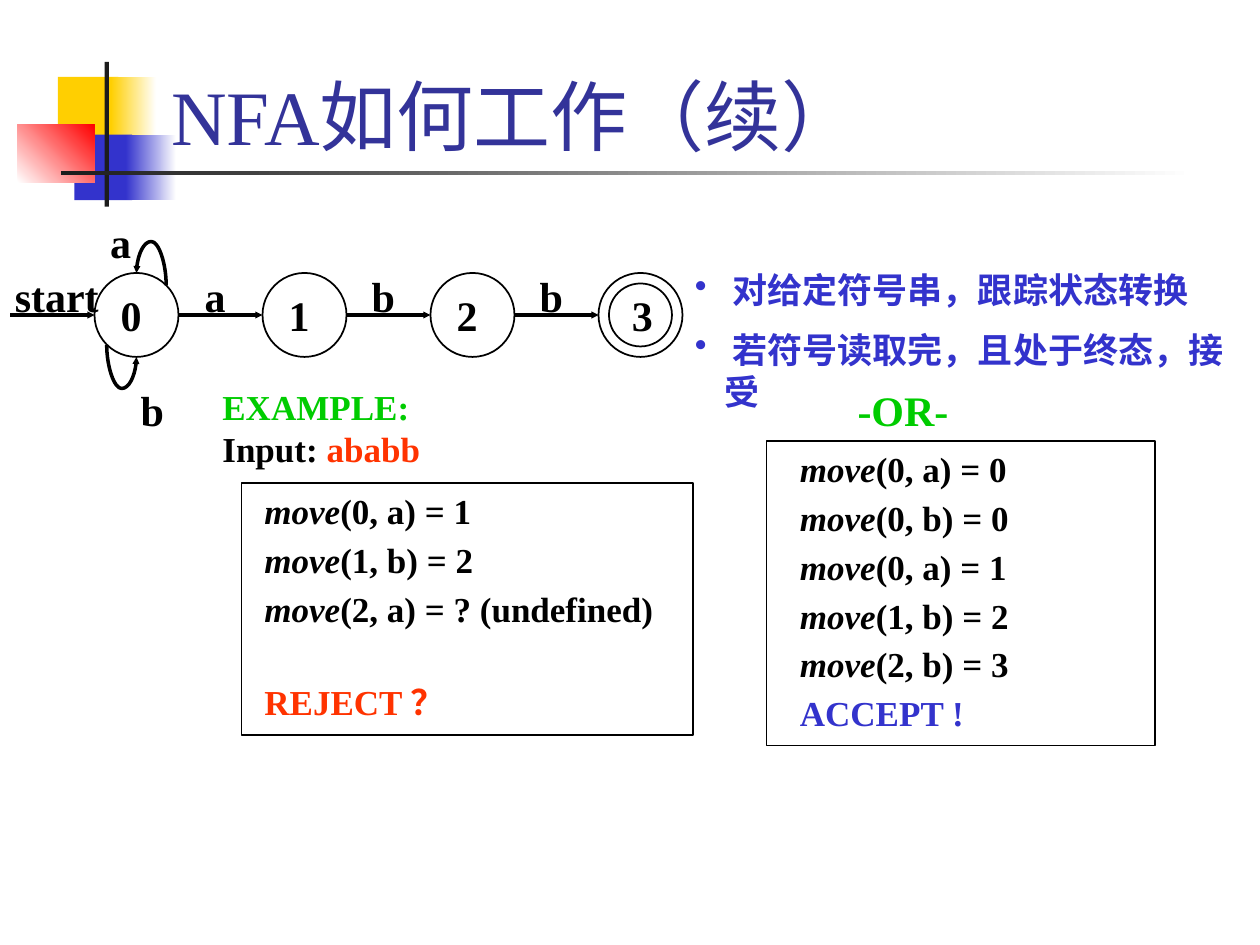
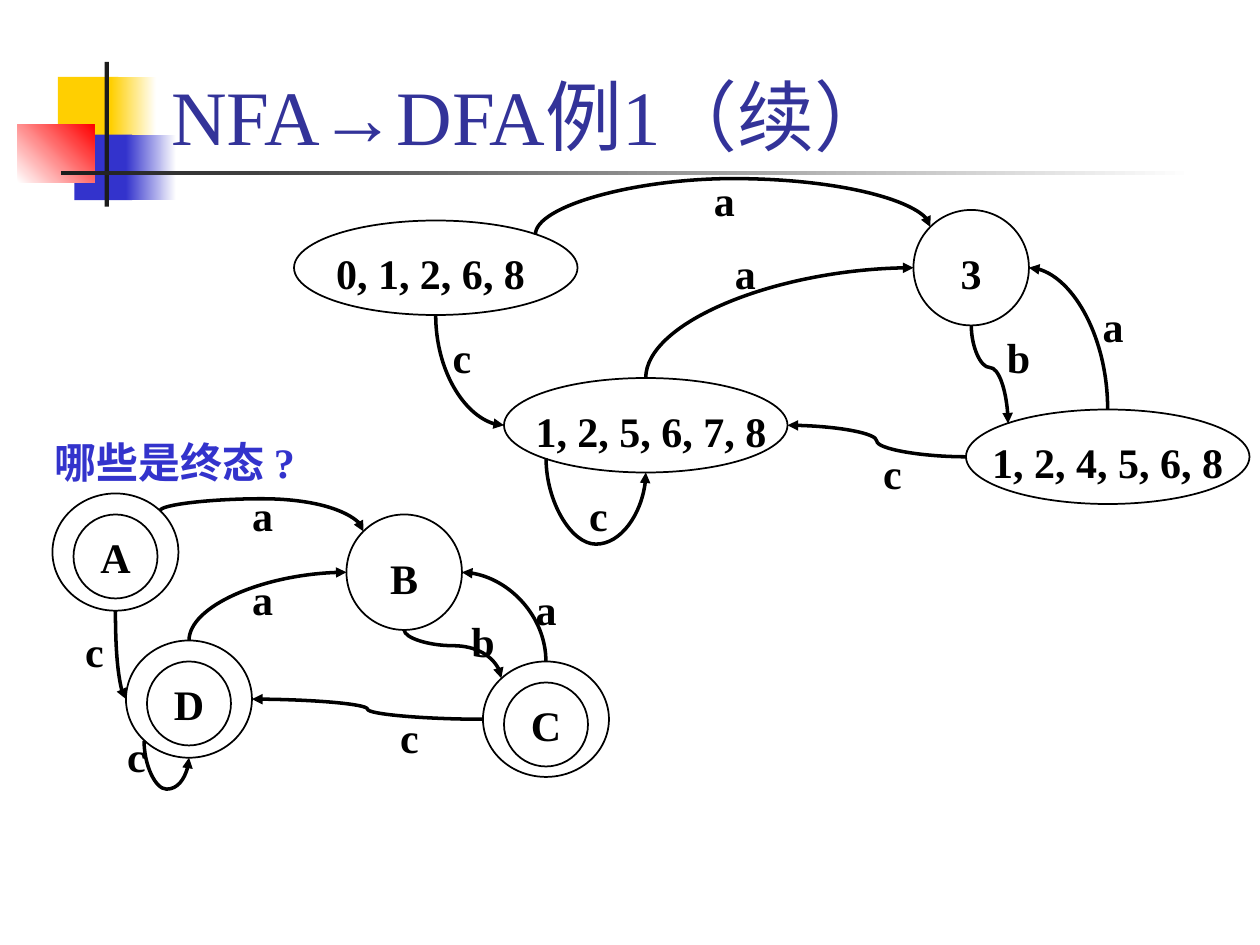
import pptx
import pptx.dml.color
import pptx.enum.shapes
import pptx.enum.text
import pptx.oxml
import pptx.oxml.ns
import pptx.util

Pt = pptx.util.Pt
rgb = pptx.dml.color.RGBColor.from_string
qn = pptx.oxml.ns.qn
SHAPE = pptx.enum.shapes.MSO_SHAPE
CONNECTOR = pptx.enum.shapes.MSO_CONNECTOR
ALIGN = pptx.enum.text.PP_ALIGN

# Shared style
FONT = "Times New Roman"
BLACK, WHITE, BLUE, GREEN, RED = "000000", "FFFFFF", "3333CC", "00CC00", "FF3300"
YELLOW, CHARCOAL, TITLE_COLOR = "FFCF01", "1C1C1C", "333399"
# left, top, width, height, colours (two make a gradient), gradient angle
DECORATIONS = [
    (33.1, 43.9, 34.6, 37.4, [YELLOW], 0),
    (63.4, 43.9, 25.9, 37.4, [YELLOW, WHITE], 0),
    (42.5, 77, 33.1, 37.4, [BLUE], 0),
    (72, 77, 28.8, 37.4, [BLUE, WHITE], 0),
    (10.1, 71.3, 43.9, 33.1, [WHITE, "FF0000"], 45),
    (59.8, 35.3, 2.4, 82.8, [CHARCOAL], 0),
    (34.6, 97.9, 648, 2.2, [CHARCOAL, WHITE], 0),
]


def add_text(slide, box, paragraphs, size=24, align=ALIGN.LEFT):
    """Add a bold text box; each paragraph is a list of (text, colour, italic)."""
    text_box = slide.shapes.add_textbox(*[Pt(value) for value in box])
    frame = text_box.text_frame
    frame.word_wrap = True
    for index, runs in enumerate(paragraphs):
        paragraph = frame.add_paragraph() if index else frame.paragraphs[0]
        paragraph.alignment = align
        for text, color, italic in runs:
            run = paragraph.add_run()
            run.text = text
            run.font.color.rgb = rgb(color)
            run.font.italic = italic
        paragraph.font.name = FONT
        paragraph.font.size = Pt(size)
        paragraph.font.bold = True
        for run in paragraph.runs:
            run.font.name, run.font.size, run.font.bold = FONT, Pt(size), True
    return frame


def add_arrow(slide, start, end, bend, head):
    """Level ends give a straight arrow. A curve leaves vertically and turns
    at height bend, or arrives sideways if bend is None; "middle" leaves
    sideways, to the upper left."""
    dx, dy = end[0] - start[0], end[1] - start[1]
    if dy == 0:
        connector = slide.shapes.add_connector(
            CONNECTOR.STRAIGHT, Pt(start[0]), Pt(start[1]), Pt(end[0]), Pt(end[1]))
    else:
        sideways = bend == "middle"
        width, height = (abs(dx), abs(dy)) if sideways else (abs(dy), abs(dx))
        left = (start[0] + end[0] - width) / 2
        top = (start[1] + end[1] - height) / 2
        connector = slide.shapes.add_connector(
            CONNECTOR.CURVE, Pt(left), Pt(top), Pt(left + width), Pt(top + height))
        transform = connector.element.spPr.xfrm
        angle = 180 if sideways else 270 if dx > 0 else 90
        transform.set("rot", str(angle * 60000))
        if not sideways and (dx > 0) == (dy > 0):
            transform.set("flipH", "1")
        geometry = connector.element.spPr.find(qn("a:prstGeom"))
        if bend is None:
            geometry.set("prst", "curvedConnector2")
        elif not sideways:
            adjustment = round((bend - start[1]) / dy * 100000)
            guides = geometry.find(qn("a:avLst"))
            guide = guides.makeelement(qn("a:gd"), {"name": "adj1", "fmla": f"val {adjustment}"})
            guides.append(guide)
    connector.line.color.rgb = rgb(BLACK)
    connector.line.width = Pt(2)
    properties = connector.element.spPr
    line = properties.find(qn("a:ln"))
    line.append(line.makeelement(qn("a:tailEnd"), {"type": "triangle", "w": head, "len": head}))
    properties.append(properties.makeelement(qn("a:effectLst"), {}))


# Slide 1: a row of four states, with two loops on state 0
STATE_STEP, STATE_SIZE = 96, 48
state_lefts = [54 + STATE_STEP * index for index in range(4)]
nfa_outlines = [(SHAPE.OVAL, left, 156, STATE_SIZE, STATE_SIZE) for left in state_lefts]
nfa_outlines += [
    (SHAPE.OVAL, 348, 162, 36, 36),
    (SHAPE.RECTANGLE, 138, 276, 258, 144),
    (SHAPE.RECTANGLE, 438, 252, 222, 174),
]
nfa_arrows = [((left - 48, 180), (left, 180), None) for left in state_lefts]
nfa_arrows += [((95, 163), (78, 156), 138), ((61, 197), (78, 204), 222)]
nfa_labels = [(str(index), left + 6, 162, 30) for index, left in enumerate(state_lefts[:3])]
nfa_labels += [(text, 108 + STATE_STEP * index, 151.2, 30) for index, text in enumerate("abb")]
nfa_labels += [("3", 354, 162, 24), ("a", 54, 120, 30), ("b", 72, 216, 30)]

# Slide 2: the subset graph, then the renamed graph
dfa_outlines = [(SHAPE.OVAL, *box) for box in [
    (288, 216, 162, 54), (552, 234, 162, 54), (168, 126, 162, 54), (522, 120, 66, 66),
    (72, 366, 72, 67), (276, 378, 72, 66), (30, 282, 72, 67), (198, 294, 66, 66),
    (42, 294, 48, 48), (288, 390, 48, 48), (84, 378, 48, 48),
]]
dfa_arrows = [
    ((306, 133.9), (531.7, 129.7), 102),
    ((552, 261), (450, 243), "middle"),
    ((633, 234), (588, 153), None),
    ((555, 186), (576, 242), 210),
    ((369, 216), (522, 153), None),
    ((249, 180), (288, 243), None),
    ((312, 262), (369, 270), 311),
    ((91.5, 291.8), (207.7, 303.7), 285),
    ((276, 411), (144, 399.5), "middle"),
    ((312, 378), (264, 327), None),
    ((231, 360), (286.5, 387.6), 369),
    ((108, 366), (198, 327), None),
    ((66, 349), (72, 399.5), None),
    ((82.3, 423.3), (108, 433), 451),
]
dfa_labels = [
    ("1, 2, 5, 6, 7, 8", 294, 228, 156), ("1, 2, 4, 5, 6, 8", 558, 246, 150),
    ("0, 1, 2, 6, 8", 180, 138, 132), ("3", 534, 138, 42),
    ("A", 42, 300, 48), ("B", 210, 312, 42), ("C", 288, 396, 48), ("D", 90, 384, 36),
]
dfa_labels += [(text, left, top, 36) for text, left, top in [
    ("c", 324, 276), ("b", 564, 186), ("a", 618, 168), ("a", 408, 138),
    ("a", 396, 96), ("c", 246, 186), ("c", 492, 252),
    ("c", 60, 414), ("b", 258, 348), ("a", 294, 330), ("a", 132, 324),
    ("a", 132, 276), ("c", 36, 354), ("c", 216, 403),
]]

# Both slides: decorations, title and automaton
presentation = pptx.Presentation()
presentation.slide_width, presentation.slide_height = Pt(720), Pt(540)
slides = []
for title_text, outlines, arrows, labels, head in [
    ("NFA如何工作（续）", nfa_outlines, nfa_arrows, nfa_labels, "sm"),
    ("NFA→DFA例1（续）", dfa_outlines, dfa_arrows, dfa_labels, "med"),
]:
    slide = presentation.slides.add_slide(presentation.slide_layouts[5])
    slides.append(slide)

    for *box, colors, angle in DECORATIONS:
        shape = slide.shapes.add_shape(SHAPE.RECTANGLE, *[Pt(value) for value in box])
        shape.shadow.inherit = False
        shape.line.fill.background()
        if len(colors) == 1:
            shape.fill.solid()
            shape.fill.fore_color.rgb = rgb(colors[0])
        else:
            shape.fill.gradient()
            shape.fill.gradient_angle = angle
            for stop, color in zip(shape.fill.gradient_stops, colors):
                stop.color.rgb = rgb(color)

    # The title lies in front of the decorations
    title = slide.shapes.title
    title.element.getparent().append(title.element)
    title.left, title.top, title.width, title.height = Pt(90.7), Pt(5.8), Pt(613.4), Pt(90)
    title.text_frame.text = title_text
    title.text_frame.auto_size = pptx.enum.text.MSO_AUTO_SIZE.NONE
    title.text_frame.vertical_anchor = pptx.enum.text.MSO_ANCHOR.BOTTOM
    paragraph = title.text_frame.paragraphs[0]
    paragraph.alignment = ALIGN.LEFT
    paragraph.font.name = FONT
    paragraph.font.size = Pt(44)
    paragraph.font.color.rgb = rgb(TITLE_COLOR)

    for kind, *box in outlines:
        shape = slide.shapes.add_shape(kind, *[Pt(value) for value in box])
        shape.shadow.inherit = False
        shape.fill.background()
        shape.line.color.rgb = rgb(BLACK)
        shape.line.width = Pt(1)
    for start, end, bend in arrows:
        add_arrow(slide, start, end, bend, head)
    for text, left, top, width in labels:
        add_text(slide, (left, top, width, 36), [[(text, BLACK, False)]], align=ALIGN.CENTER)

nfa_slide, dfa_slide = slides

# Slide 1: start label, rules and example
start_frame = add_text(nfa_slide, (0, 151.2, 72, 36), [[("start", BLACK, False)]], align=ALIGN.CENTER)
start_frame.margin_left = 0
add_text(nfa_slide, (474, 216, 84, 36), [[("-OR-", GREEN, False)]], align=ALIGN.CENTER)
add_text(nfa_slide, (120, 216.7, 168, 55.4), [
    [("EXAMPLE:", GREEN, False)],
    [("Input: ", BLACK, False), ("ababb", RED, False)],
], size=20)

rules = add_text(nfa_slide, (390, 150, 330, 67), [
    [(" 对给定符号串，跟踪状态转换", BLUE, False)],
    [(" 若符号读取完，且处于终态，接受", BLUE, False)],
], size=20)
rules.paragraphs[1].space_before = Pt(10)
for paragraph in rules.paragraphs:
    properties = paragraph._p.get_or_add_pPr()
    properties.set("marL", str(Pt(17)))
    properties.set("indent", str(-Pt(17)))
    bullet = properties.makeelement(qn("a:buChar"), {"char": "•"})
    properties.insert_element_before(bullet, "a:tabLst", "a:defRPr", "a:extLst")

# Slide 1: the two traces; the verdict is set apart by gap
for box, moves, verdict, color, gap in [
    ((144, 276, 246, 148), ["(0, a) = 1", "(1, b) = 2", "(2, a) = ? (undefined)"],
     "REJECT ？", RED, 36),
    ((450, 252, 210, 175), ["(0, a) = 0", "(0, b) = 0", "(0, a) = 1", "(1, b) = 2", "(2, b) = 3"],
     "ACCEPT !", BLUE, 11),
]:
    lines = [[("move", BLACK, True), (move, BLACK, False)] for move in moves]
    trace = add_text(nfa_slide, box, lines + [[(verdict, color, False)]], size=20)
    for paragraph in trace.paragraphs[1:]:
        paragraph.line_spacing = 0.7
        paragraph.space_before = Pt(11)
    trace.paragraphs[-1].space_before = Pt(gap)

# Slide 2: question
add_text(dfa_slide, (24, 246, 162, 36), [[("哪些是终态 ?", BLUE, False)]])

presentation.save("out.pptx")
